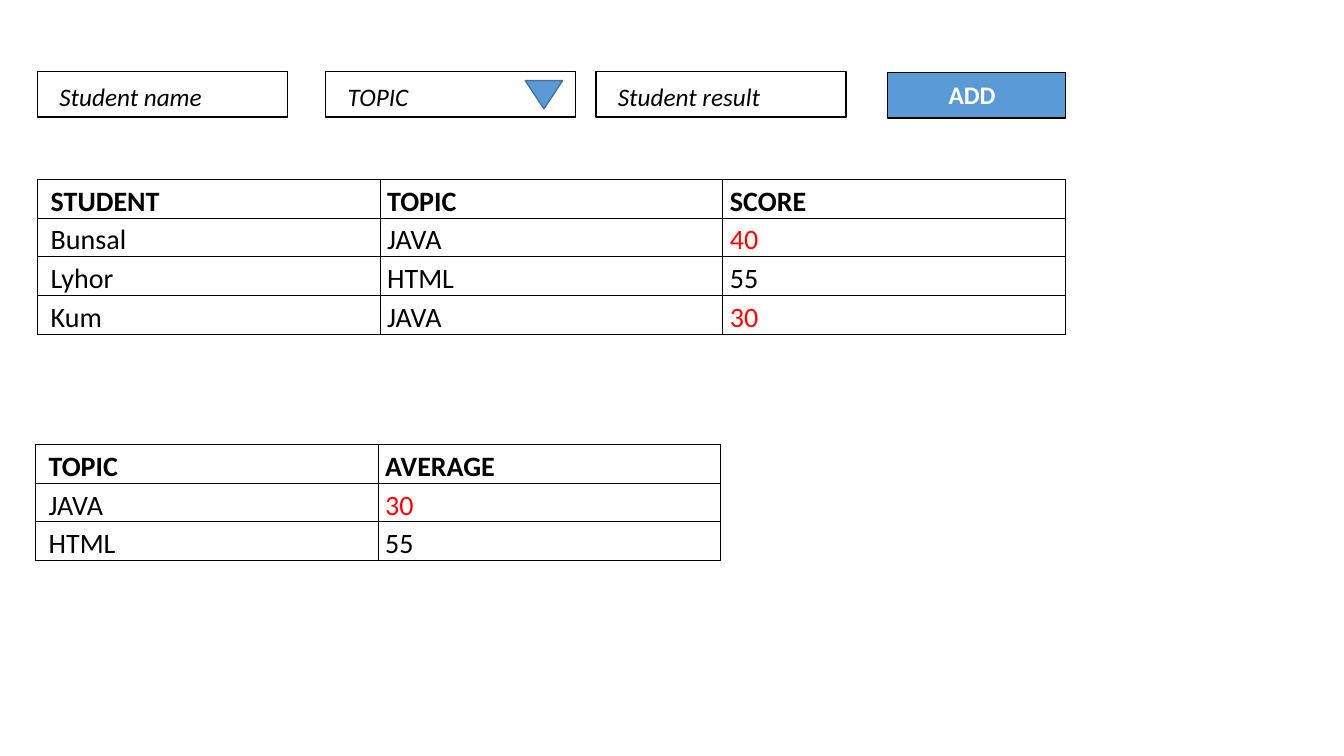
from pptx import Presentation
from pptx.dml.color import RGBColor
from pptx.enum.shapes import MSO_SHAPE as Shape
from pptx.enum.text import MSO_AUTO_SIZE as Auto
from pptx.oxml.ns import qn
from pptx.util import Inches, Pt
from lxml.etree import SubElement

BLACK = RGBColor(0x00, 0x00, 0x00)
WHITE = RGBColor(0xFF, 0xFF, 0xFF)
RED = RGBColor(0xFF, 0x00, 0x00)
BLUE = RGBColor(0x5B, 0x9B, 0xD5)
NAVY = RGBColor(0x43, 0x73, 0x9E)

FONT = "Calibri"
PASS = 50
COL, ROW = 3.4, 0.38
FIELD = 2.48
HIGH = 0.45
NBSP = "\u00a0"

FIELDS = [("Student name", 0.37, 1.63), ("TOPIC", 3.23, 0.81),
          ("Student result", 5.91, 1.63)]
SCORES = [("STUDENT", "TOPIC", "SCORE"), ("Bunsal", "JAVA", 40),
          ("Lyhor", "HTML", 55), ("Kum", "JAVA", 30)]
MEANS = [("TOPIC", "AVERAGE"), ("JAVA", 30), ("HTML", 55)]


def add_run(para, text, size, color, bold=False, italic=False):
    """Append one styled run to a paragraph."""
    run = para.add_run()
    run.text = text
    font = run.font
    font.name, font.size = FONT, Pt(size)
    font.bold, font.italic = bold, italic
    font.color.rgb = color


def add_box(slide, kind, x, y, w, h, fill, line):
    """Draw a filled and outlined shape without shadow."""
    box = slide.shapes.add_shape(kind, Inches(x), Inches(y), Inches(w), Inches(h))
    box.shadow.inherit = False
    box.fill.solid()
    box.fill.fore_color.rgb = fill
    box.line.color.rgb = line
    box.line.width = Pt(1)
    return box


def add_label(slide, text, x, y, w, color, bold=False, italic=False):
    """Place a one-line label that does not wrap."""
    label = slide.shapes.add_textbox(Inches(x), Inches(y), Inches(w), Inches(0.4))
    frame = label.text_frame
    frame.word_wrap = False
    frame.auto_size = Auto.SHAPE_TO_FIT_TEXT
    add_run(frame.paragraphs[0], text, 18, color, bold, italic)


def add_field(slide, text, x, w):
    """Draw an input field with its italic hint."""
    add_box(slide, Shape.RECTANGLE, x, 0.71, FIELD, HIGH, WHITE, BLACK)
    add_label(slide, text, x + 0.12, 0.76, w, BLACK, italic=True)


def add_arrow(slide):
    """Draw the drop-down triangle of the topic field."""
    arrow = add_box(slide, Shape.ISOSCELES_TRIANGLE, 5.21, 0.8, 0.37, 0.28, BLUE, NAVY)
    arrow.rotation = 180


def add_button(slide):
    """Draw the button that adds a result."""
    add_box(slide, Shape.RECTANGLE, 8.8, 0.72, 1.77, HIGH, BLUE, BLACK)
    add_label(slide, "ADD", 9.31, 0.74, 0.67, WHITE, bold=True)


def set_border(cell):
    """Give all four sides of a cell a thin black line."""
    props = cell._tc.get_or_add_tcPr()
    for side in ("a:lnL", "a:lnR", "a:lnT", "a:lnB"):
        line = SubElement(props, qn(side), w=str(Pt(0.75)))
        fill = SubElement(line, qn("a:solidFill"))
        SubElement(fill, qn("a:srgbClr"), val=str(BLACK))


def fill_cell(cell, value, first, head):
    """Write one table cell; scores below the pass mark are red."""
    set_border(cell)
    cell.fill.background()
    cell.margin_left = cell.margin_right = Inches(0.07)
    cell.margin_top = cell.margin_bottom = 0
    para = cell.text_frame.paragraphs[0]
    para.line_spacing = 1.15
    low = isinstance(value, int) and value < PASS
    text = (NBSP if first else "") + str(value)
    add_run(para, text, 20, RED if low else BLACK, bold=head)


def add_grid(slide, rows, x, y):
    """Build a ruled table with a bold head row."""
    count = len(rows[0])
    frame = slide.shapes.add_table(len(rows), count, Inches(x), Inches(y),
                                   Inches(COL * count), Inches(ROW * len(rows)))
    table = frame.table
    table.first_row = table.horz_banding = False
    for r, row in enumerate(rows):
        for c, value in enumerate(row):
            fill_cell(table.cell(r, c), value, c == 0, r == 0)


def main():
    """Build the student score form and its tables."""
    deck = Presentation()
    deck.slide_width, deck.slide_height = Inches(13.33), Inches(7.5)
    slide = deck.slides.add_slide(deck.slide_layouts[6])
    for text, x, w in FIELDS:
        add_field(slide, text, x, w)
    add_arrow(slide)
    add_button(slide)
    add_grid(slide, SCORES, 0.37, 1.78)
    add_grid(slide, MEANS, 0.35, 4.41)
    deck.save("out.pptx")


main()
